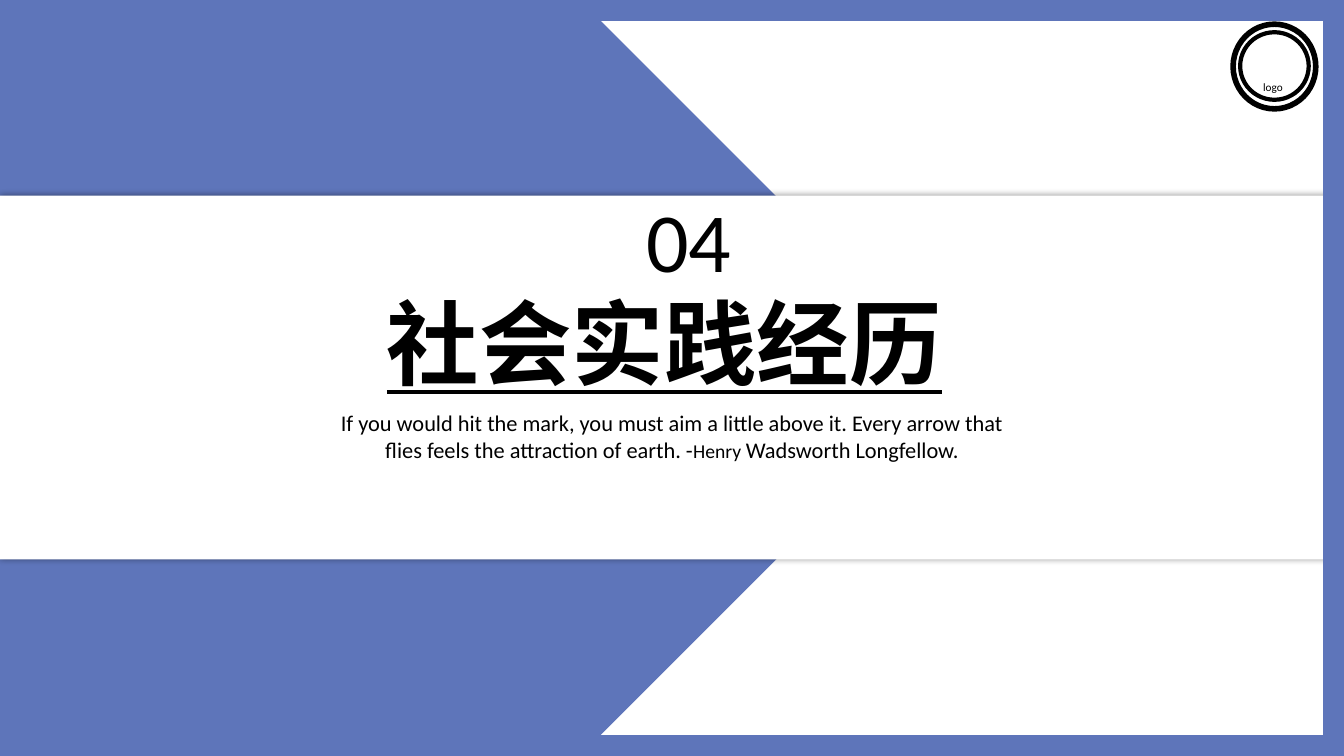
from pptx import Presentation
from pptx.dml.color import RGBColor
from pptx.enum.shapes import MSO_CONNECTOR, MSO_SHAPE
from pptx.enum.text import MSO_ANCHOR, PP_ALIGN
from pptx.oxml import parse_xml
from pptx.oxml.ns import nsdecls
from pptx.util import Inches, Pt

BLUE = RGBColor(0x5E, 0x75, 0xBA)
WHITE = RGBColor(0xFF, 0xFF, 0xFF)
BLACK = RGBColor(0, 0, 0)

prs = Presentation()
prs.slide_width, prs.slide_height = Inches(13.33), Inches(7.5)
s = prs.slides.add_slide(prs.slide_layouts[6])


def add_shape(kind, box, fill, line_width=0):
    sp = s.shapes.add_shape(kind, *map(Inches, box))
    sp.shadow.inherit = False
    sp.fill.solid()
    sp.fill.fore_color.rgb = fill
    if line_width:
        sp.line.color.rgb = BLACK
        sp.line.width = Pt(line_width)
    else:
        sp.line.fill.background()
    return sp


def add_text(box, text, size, align=PP_ALIGN.LEFT):
    tf = s.shapes.add_textbox(*map(Inches, box)).text_frame
    tf.word_wrap = True
    p = tf.paragraphs[0]
    p.alignment = align
    p.font.name, p.font.size = "Calibri", Pt(size)
    p.font.color.rgb = BLACK
    p.add_run().text = text
    return tf


# Blue arrow and the white band with its soft shadow
add_shape(MSO_SHAPE.PENTAGON, (0, 0, 9.5, 7.5), BLUE)
band = add_shape(MSO_SHAPE.RECTANGLE, (0, 1.94, 13.33, 3.61), WHITE)
effects = band._element.spPr.find("{*}effectLst")
effects.append(parse_xml(
    f'<a:outerShdw {nsdecls("a")} blurRad="{Pt(5)}" dist="0" dir="0" algn="ctr" rotWithShape="0">'
    '<a:srgbClr val="000000"><a:alpha val="40000"/></a:srgbClr></a:outerShdw>'))

# Section title, quotation and number
tf = add_text((3.74, 2.78, 5.86, 1.21), "社会实践经历", 66)
tf.vertical_anchor = MSO_ANCHOR.MIDDLE
font = tf.paragraphs[0].runs[0].font
font.bold = font.underline = True

tf = add_text((3.23, 4.01, 6.87, 0.64),
              "If you would hit the mark, you must aim a little above it. "
              "Every arrow that flies feels the attraction of earth. -", 16, PP_ALIGN.CENTER)
p = tf.paragraphs[0]
r = p.add_run()
r.text = "Henry "
r.font.size = Pt(14)
p.add_run().text = "Wadsworth Longfellow."

add_text((6.17, 1.82, 1.32, 1.11), "04", 60, PP_ALIGN.CENTER)

# Blue frame: bottom, top, right
for ends in ((3.38, 7.4, 13.33, 7.4), (4.85, 0.1, 13.33, 0.1), (13.23, 7.4, 13.23, 0.19)):
    line = s.shapes.add_connector(MSO_CONNECTOR.STRAIGHT, *map(Inches, ends))
    line.line.color.rgb = BLUE
    line.line.width = Pt(15)
    line._element.spPr.append(parse_xml(f'<a:effectLst {nsdecls("a")}/>'))

# Double ring badge
add_shape(MSO_SHAPE.OVAL, (12.23, 0.24, 0.82, 0.84), WHITE, 4)
add_shape(MSO_SHAPE.OVAL, (12.3, 0.32, 0.68, 0.67), WHITE, 3)
add_text((12.43, 0.75, 0.45, 0.24), "logo", 8)

prs.save("out.pptx")
